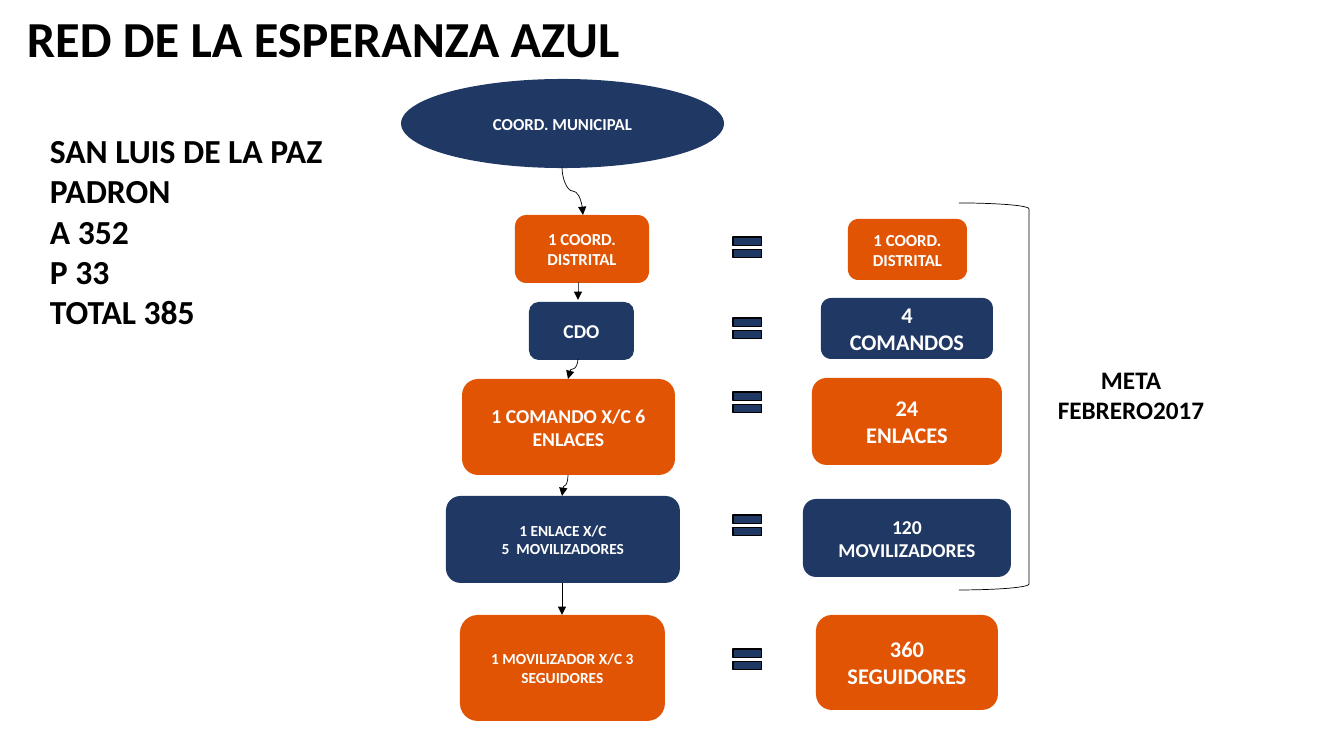
from dataclasses import dataclass

from lxml.etree import SubElement
from pptx import Presentation
from pptx.dml.color import RGBColor as RGB
from pptx.enum.shapes import MSO_CONNECTOR as Connector, MSO_SHAPE as Preset
from pptx.enum.text import MSO_ANCHOR as Anchor, PP_ALIGN as Align
from pptx.oxml.ns import qn
from pptx.util import Emu, Pt

EMU_PER_PX = 914400 / 100.8


def px(*lengths):
    return [Emu(round(length * EMU_PER_PX)) for length in lengths]


@dataclass(frozen=True)
class Theme:
    font: str = "Calibri"
    navy: RGB = RGB(0x20, 0x38, 0x64)
    orange: RGB = RGB(0xE1, 0x54, 0x04)
    black: RGB = RGB(0, 0, 0)
    white: RGB = RGB(255, 255, 255)
    title: int = 36
    roll: int = 24
    goal: int = 18
    large: int = 16
    medium: int = 14
    small: int = 12
    tiny: int = 11
    thin: float = 0.5
    outline: float = 1


THEME = Theme()


def write(frame, text, *, size, color, align=Align.LEFT, wrap=True, anchor=Anchor.TOP):
    """Fill a text frame with one bold paragraph per line of text."""
    frame.word_wrap = wrap
    frame.vertical_anchor = anchor
    for number, line in enumerate(text.split("\n")):
        paragraph = frame.add_paragraph() if number else frame.paragraphs[0]
        paragraph.alignment = align
        run = paragraph.add_run()
        run.text = line
        run.font.name = THEME.font
        run.font.size = Pt(size)
        run.font.bold = True
        run.font.color.rgb = color


class Board:
    def __init__(self, slide, theme):
        self.slide = slide
        self.theme = theme

    def label(self, text, bounds, size, align=Align.LEFT):
        box = self.slide.shapes.add_textbox(*px(*bounds))
        write(box.text_frame, text, size=size, color=self.theme.black,
              align=align, wrap=False)

    def shape(self, preset, bounds, fill=None, line=None):
        shape = self.slide.shapes.add_shape(preset, *px(*bounds))
        shape.shadow.inherit = False
        if fill is None:
            shape.fill.background()
        else:
            shape.fill.solid()
            shape.fill.fore_color.rgb = fill
        if line is None:
            shape.line.fill.background()
        else:
            shape.line.color.rgb = self.theme.black
            shape.line.width = Pt(line)
        return shape

    def node(self, text, bounds, fill, size, preset=Preset.ROUNDED_RECTANGLE):
        shape = self.shape(preset, bounds, fill)
        write(shape.text_frame, text, size=size, color=self.theme.white,
              align=Align.CENTER, anchor=Anchor.MIDDLE)

    def arrow(self, x1, y1, x2, y2):
        """Draw a curve that leaves downwards: a sideways one turned by 90 degrees."""
        mid_x, mid_y = (x1 + x2) / 2, (y1 + y2) / 2
        half_x, half_y = (x2 - x1) / 2, (y2 - y1) / 2
        curve = self.slide.shapes.add_connector(
            Connector.CURVE,
            *px(mid_x - half_y, mid_y + half_x, mid_x + half_y, mid_y - half_x))
        curve.line.color.rgb = self.theme.black
        curve.line.width = Pt(self.theme.thin)
        properties = curve.element.spPr
        properties.find(qn("a:xfrm")).set("rot", str(90 * 60000))
        SubElement(properties.find(qn("a:ln")), qn("a:tailEnd"), type="triangle")
        SubElement(properties, qn("a:effectLst"))


deck = Presentation()
deck.slide_width, deck.slide_height = px(1344, 756)
board = Board(deck.slides.add_slide(deck.slide_layouts[6]), THEME)

# Heading and voter roll
board.label("RED DE LA ESPERANZA AZUL", (17, 2, 620, 72), THEME.title)
board.label("SAN LUIS DE LA PAZ\nPADRON\nA 352\nP 33\nTOTAL 385",
            (40, 125, 295, 214), THEME.roll)

# Chain of command
board.node("COORD. MUNICIPAL", (401, 79, 323, 89), THEME.navy, THEME.small, Preset.OVAL)
chain = [
    ("1 COORD. DISTRITAL", (515, 215, 134, 68), THEME.small),
    ("CDO", (529, 302, 105, 58), THEME.medium),
    ("1 COMANDO X/C 6 ENLACES", (462, 379, 213, 96), THEME.medium),
    ("1 ENLACE X/C\n5  MOVILIZADORES", (446, 496, 234, 87), THEME.tiny),
    ("1 MOVILIZADOR X/C 3 SEGUIDORES", (460, 615, 205, 106), THEME.tiny),
]

# Goal for each level, with the top of its equals sign
goals = [
    ("1 COORD. DISTRITAL", (848, 219, 119, 61), THEME.small, 230),
    ("4\nCOMANDOS", (821, 298, 172, 61), THEME.large, 311),
    ("24\nENLACES", (812, 378, 190, 87), THEME.large, 385),
    ("120\nMOVILIZADORES", (803, 499, 208, 78), THEME.medium, 508),
    ("360\nSEGUIDORES", (816, 615, 182, 95), THEME.large, 642),
]

for level, (step, goal) in enumerate(zip(chain, goals)):
    fill = THEME.navy if level % 2 else THEME.orange
    text, bounds, size = step
    board.node(text, bounds, fill, size)
    text, bounds, size, equals_top = goal
    board.node(text, bounds, fill, size)
    board.shape(Preset.MATH_EQUAL, (728, equals_top, 39, 35), THEME.navy, THEME.outline)

# Arrows down the chain
for link in [(562, 167, 583, 215), (578, 282, 578, 300), (578, 359, 568, 379),
             (568, 475, 562, 496), (562, 583, 562, 615)]:
    board.arrow(*link)

# Bracket and deadline
board.shape(Preset.RIGHT_BRACKET, (959, 203, 70, 387), line=THEME.thin)
board.label("META\nFEBRERO2017", (1032, 359, 198, 72), THEME.goal, Align.CENTER)

deck.save("out.pptx")
